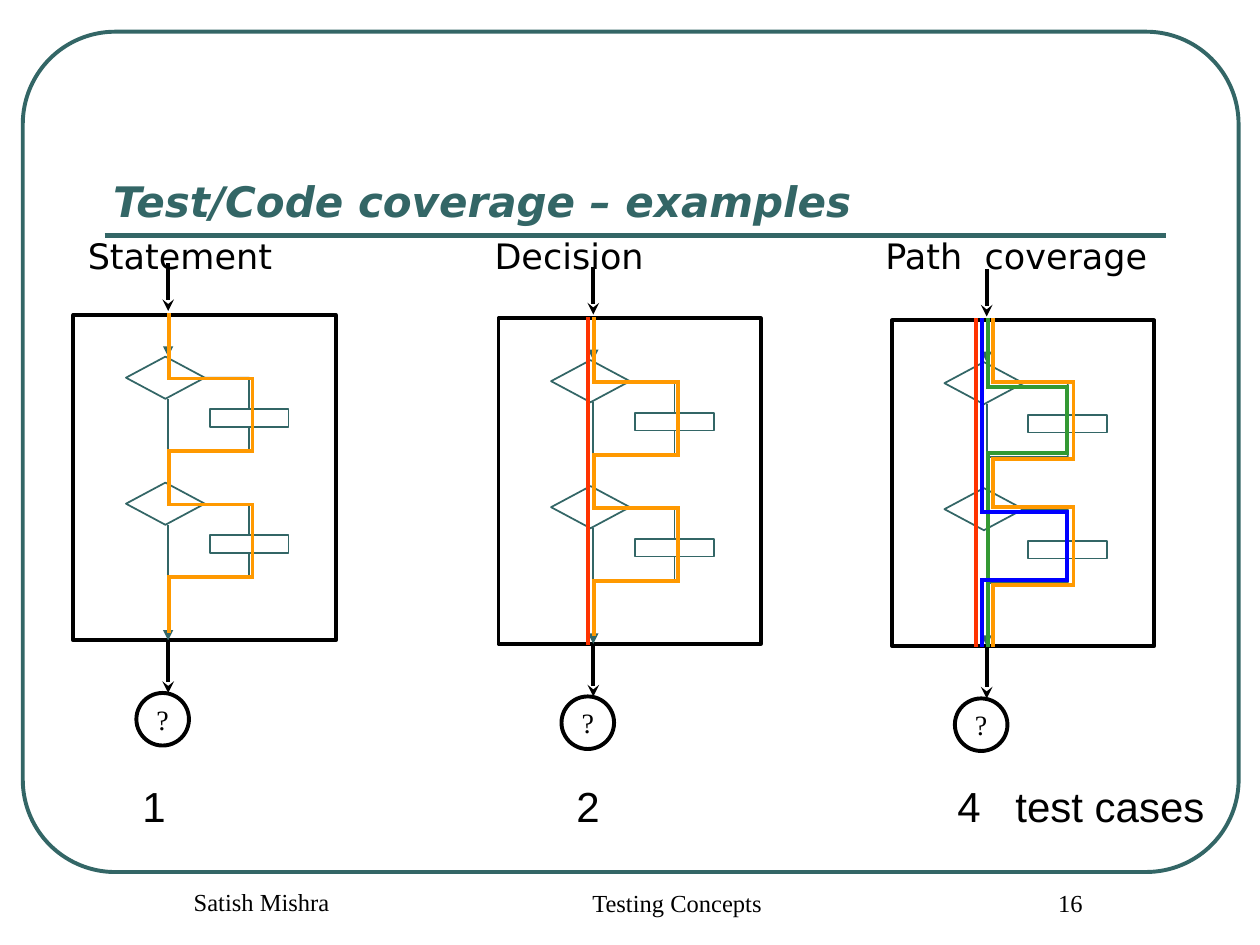
from dataclasses import dataclass
from itertools import pairwise

import pptx
import pptx.dml.color
import pptx.enum.shapes
import pptx.enum.text
import pptx.oxml.ns
import pptx.util
from lxml import etree

Cm = pptx.util.Cm
RGBColor = pptx.dml.color.RGBColor
SHAPE = pptx.enum.shapes.MSO_SHAPE
ALIGN = pptx.enum.text.PP_ALIGN
ANCHOR = pptx.enum.text.MSO_ANCHOR
qn = pptx.oxml.ns.qn

TEAL = RGBColor(0x33, 0x66, 0x66)
BLACK = RGBColor(0x00, 0x00, 0x00)
WHITE = RGBColor(0xFF, 0xFF, 0xFF)
ORANGE = RGBColor(0xFF, 0x99, 0x00)
RED = RGBColor(0xFF, 0x33, 0x00)
GREEN = RGBColor(0x33, 0x99, 0x33)
BLUE = RGBColor(0x00, 0x00, 0xFF)

THIN, THICK = 1, 2.25
SANS, SERIF = "DejaVu Sans", "Times New Roman"

# Flowchart geometry in cm, measured from the top left of its frame
FRAME_W, FRAME_H = 5.29, 6.56
AXIS = 1.91
STEP = 2.54
NODE_W = 1.59
DIAMOND_X, DIAMOND_Y, DIAMOND_H = 1.06, 0.84, 0.85
ACTION_X, ACTION_Y, ACTION_H = 2.75, 1.9, 0.36
BRANCH_X = ACTION_X + NODE_W / 2
BRANCH_Y = DIAMOND_Y + DIAMOND_H / 2
MERGE_Y = 2.75
CIRCLE_X, CIRCLE_Y, CIRCLE_D = 1.27, 7.62, 1.06


@dataclass
class Route:
    """A test case: down the axis, with a detour to the right per (top, bottom)."""
    color: RGBColor
    axis: float
    far: float = 0
    detours: tuple = ()
    end: float = 6.55

    def points(self) -> list:
        pts = [(self.axis, 0)]
        for top, bottom in self.detours:
            pts += [(self.axis, top), (self.far, top),
                    (self.far, bottom), (self.axis, bottom)]
        return pts + [(self.axis, self.end)]


@dataclass
class Panel:
    x: float
    y: float
    routes: list


@dataclass
class Label:
    text: str
    x: float
    y: float
    w: float
    h: float
    size: float
    font: str
    color: RGBColor = BLACK
    left: float = 0.25
    tabs: tuple = ()
    align: ALIGN = ALIGN.LEFT
    anchor: ANCHOR = ANCHOR.TOP
    emphasis: bool = False


BOTH = Route(ORANGE, 1.92, 3.61, ((1.28, 2.75), (3.82, 5.29)), 6.37)
PANELS = [
    Panel(1.48, 6.35, [BOTH]),
    Panel(10.05, 6.42, [BOTH, Route(RED, 1.8)]),
    Panel(17.98, 6.46, [
        Route(ORANGE, 2.04, 3.66, ((1.24, 2.79), (3.76, 5.33))),
        Route(RED, 1.7),
        Route(GREEN, 1.93, 3.53, ((1.35, 2.67),)),
        Route(BLUE, 1.81, 3.53, ((3.86, 5.23),)),
    ]),
]

FOOTER = dict(h=1.27, size=14, font=SERIF, left=0.86, align=ALIGN.CENTER)
LABELS = [
    Label("Test/Code coverage – examples", 1.14, 2.11, 22.68, 2.57, 24, SANS, TEAL,
          left=1.14, anchor=ANCHOR.BOTTOM, emphasis=True),
    Label("Statement\tDecision\tPath\tcoverage", 1.52, 4.6, 22.66, 1.12, 20, SANS,
          tabs=(8.2, 16.08, 18.08)),
    Label("1\t2\t4\ttest cases", 1.27, 15.6, 23.44, 1.27, 24, "Arial",
          left=1.6, tabs=(8.75, 16.43, 17.6)),
    Label("Satish Mishra", 2.11, 17.75, 5.72, **FOOTER),
    Label("Testing Concepts", 9.32, 17.78, 8.05, **FOOTER),
    Label("16", 19.05, 17.78, 4.45, **FOOTER),
]


def add_line(s, start: tuple, end: tuple, color: RGBColor, width: float, arrow: str = ""):
    c = s.shapes.add_connector(pptx.enum.shapes.MSO_CONNECTOR.STRAIGHT,
                               *(Cm(v) for v in (*start, *end)))
    c.line.color.rgb = color
    c.line.width = pptx.util.Pt(width)
    if arrow:
        etree.SubElement(c.line._get_or_add_ln(), qn("a:tailEnd"), type=arrow)
    etree.SubElement(c._element.spPr, qn("a:effectLst"))
    return c


def add_box(s, kind: SHAPE, x: float, y: float, w: float, h: float,
            color: RGBColor, width: float, filled: bool = True):
    sp = s.shapes.add_shape(kind, Cm(x), Cm(y), Cm(w), Cm(h))
    sp.shadow.inherit = False
    if filled:
        sp.fill.solid()
        sp.fill.fore_color.rgb = WHITE
    else:
        sp.fill.background()
    sp.line.color.rgb = color
    sp.line.width = pptx.util.Pt(width)
    return sp


def set_font(p, size: float, font: str, color: RGBColor, emphasis: bool = False) -> None:
    for r in p.runs:
        r.font.size = pptx.util.Pt(size)
        r.font.name = font
        r.font.color.rgb = color
        if emphasis:
            r.font.bold = r.font.italic = True


def add_label(s, label: Label) -> None:
    tf = s.shapes.add_textbox(*(Cm(v) for v in (label.x, label.y, label.w, label.h))).text_frame
    tf.word_wrap = True
    tf.margin_left = Cm(label.left)
    tf.vertical_anchor = label.anchor
    tf.text = label.text
    p = tf.paragraphs[0]
    p.alignment = label.align
    if label.tabs:
        tab_list = etree.SubElement(p._p.get_or_add_pPr(), qn("a:tabLst"))
        for pos in label.tabs:
            etree.SubElement(tab_list, qn("a:tab"), pos=str(Cm(pos)), algn="l")
    set_font(p, label.size, label.font, label.color, label.emphasis)


def add_panel(s, panel: Panel) -> None:
    def at(x: float, y: float) -> tuple:
        return panel.x + x, panel.y + y

    add_box(s, SHAPE.RECTANGLE, *at(0, 0), FRAME_W, FRAME_H, BLACK, THICK)

    # Flow along the axis, into and out of the frame
    add_line(s, at(AXIS, 0), at(AXIS, DIAMOND_Y), TEAL, THIN, "triangle")
    add_line(s, at(AXIS, DIAMOND_Y + DIAMOND_H), at(AXIS, DIAMOND_Y + STEP), TEAL, THIN)
    add_line(s, at(AXIS, DIAMOND_Y + DIAMOND_H + STEP), at(AXIS, FRAME_H), TEAL, THIN, "triangle")
    add_line(s, at(AXIS, -1.04), at(AXIS, -0.08), BLACK, THICK, "stealth")
    add_line(s, at(AXIS, FRAME_H), at(AXIS, CIRCLE_Y), BLACK, THICK, "stealth")

    # Two decisions, each with an optional action
    for dy in (0, STEP):
        action = add_box(s, SHAPE.RECTANGLE, *at(ACTION_X, ACTION_Y + dy),
                         NODE_W, ACTION_H, TEAL, THIN)
        diamond = add_box(s, SHAPE.FLOWCHART_DECISION, *at(DIAMOND_X, DIAMOND_Y + dy),
                          NODE_W, DIAMOND_H, TEAL, THIN)
        corner, merge = at(BRANCH_X, BRANCH_Y + dy), at(BRANCH_X, MERGE_Y + dy)
        add_line(s, corner, corner, TEAL, THIN).begin_connect(diamond, 3)
        add_line(s, corner, corner, TEAL, THIN).begin_connect(action, 0)
        add_line(s, merge, merge, TEAL, THIN).end_connect(action, 2)
        add_line(s, at(AXIS, MERGE_Y + dy), merge, TEAL, THIN)

    # Result
    circle = add_box(s, SHAPE.OVAL, *at(CIRCLE_X, CIRCLE_Y), CIRCLE_D, CIRCLE_D,
                     BLACK, THICK, filled=False)
    tf = circle.text_frame
    tf.margin_left = tf.margin_right = tf.margin_top = tf.margin_bottom = 0
    tf.vertical_anchor = ANCHOR.MIDDLE
    tf.text = "?"
    tf.paragraphs[0].alignment = ALIGN.CENTER
    set_font(tf.paragraphs[0], 16, SERIF, BLACK)

    # Test cases
    for route in panel.routes:
        for start, end in pairwise(route.points()):
            c = add_line(s, at(*start), at(*end), route.color, THICK)
            c.line._get_or_add_ln().set("cap", "sq")


def main() -> None:
    prs = pptx.Presentation()
    prs.slide_width, prs.slide_height = Cm(25.4), Cm(19.05)
    s = prs.slides.add_slide(prs.slide_layouts[6])

    # Border and title rule
    border = add_box(s, SHAPE.ROUNDED_RECTANGLE, 0.46, 0.64, 24.51, 16.94, TEAL, THICK, filled=False)
    border.adjustments[0] = 0.11
    add_line(s, (2.11, 4.75), (23.5, 4.75), TEAL, 3)

    for panel in PANELS:
        add_panel(s, panel)
    for label in LABELS:
        add_label(s, label)
    prs.save("out.pptx")


if __name__ == "__main__":
    main()
